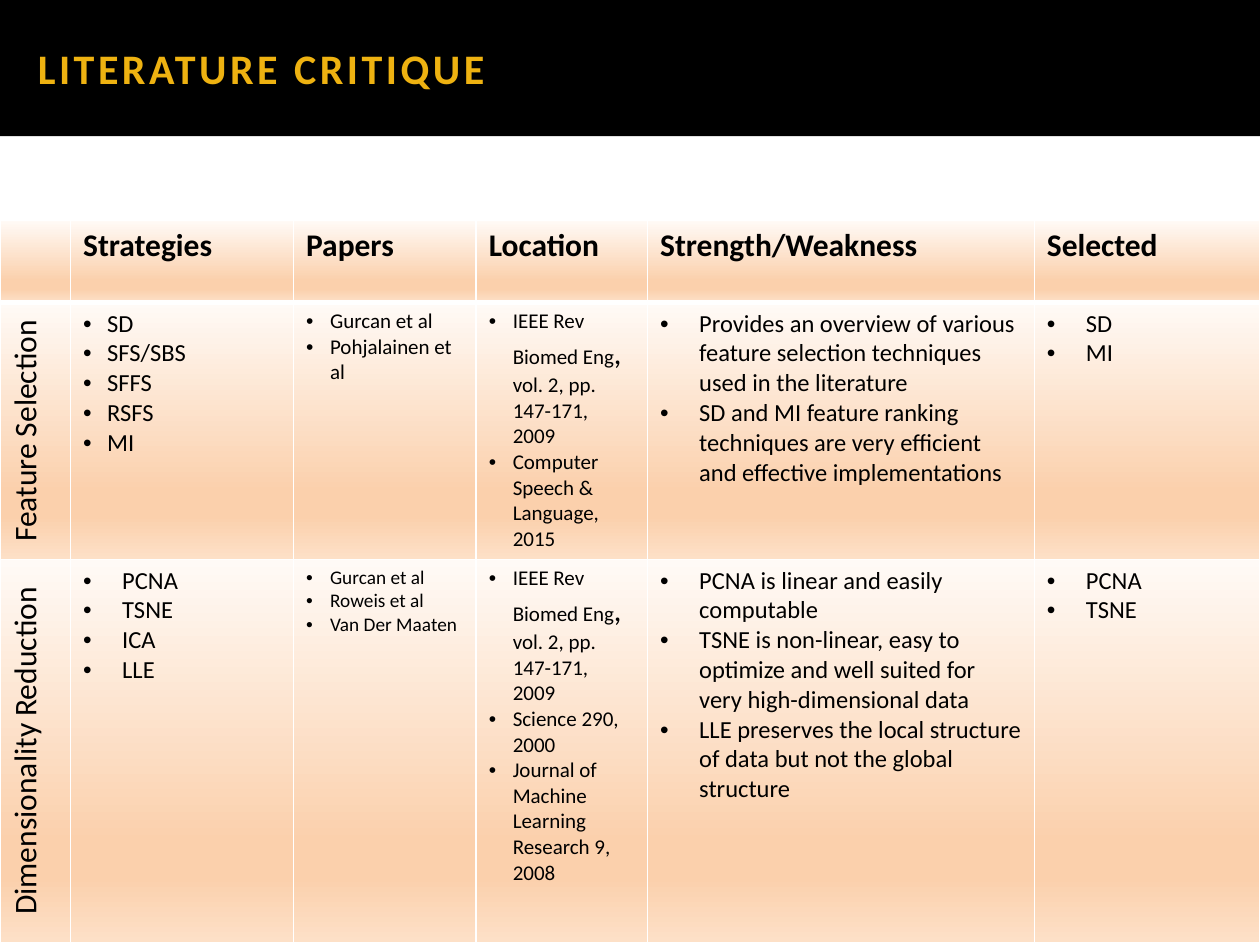
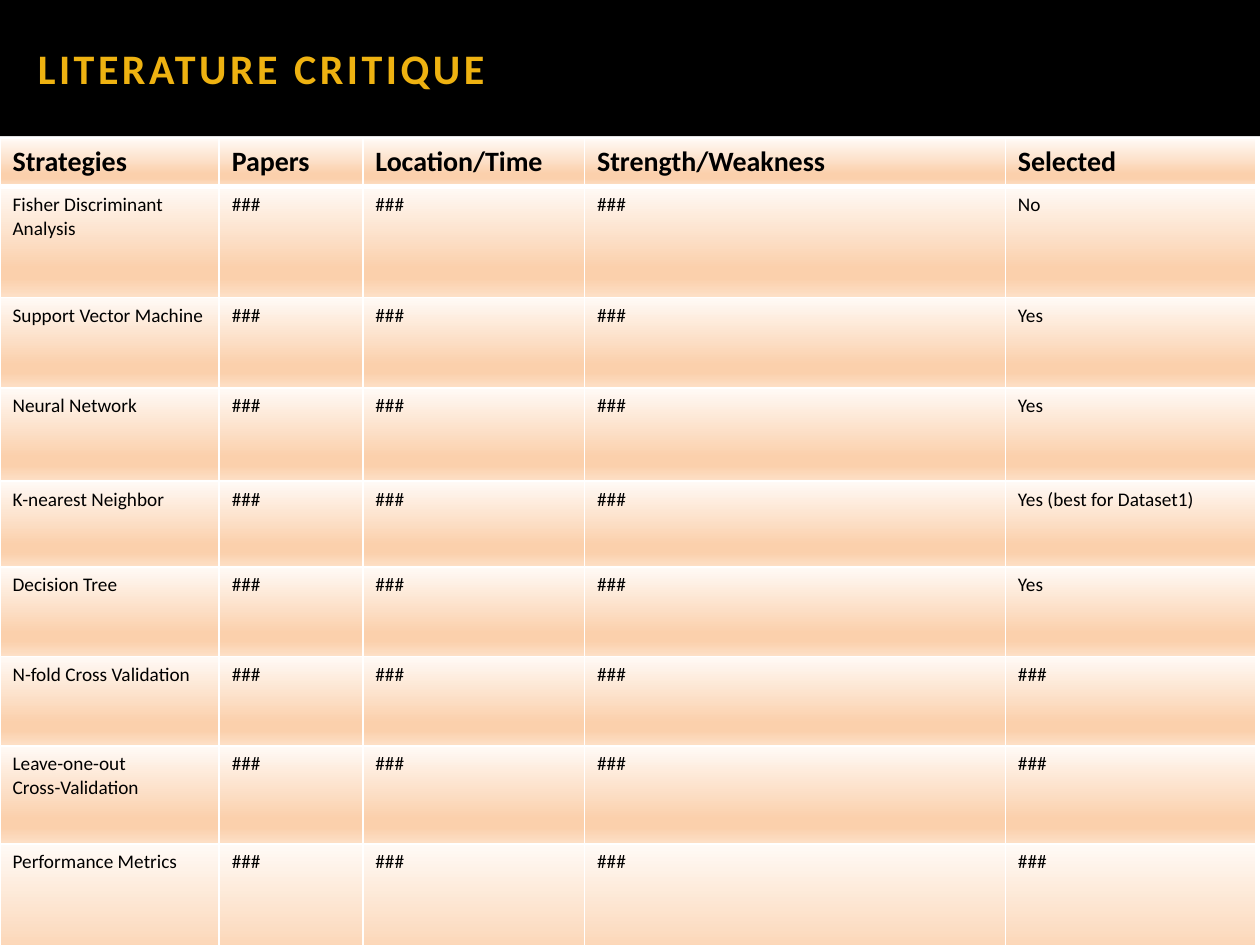
from dataclasses import dataclass

from lxml import etree
from pptx import Presentation
from pptx.dml.color import RGBColor
from pptx.enum.text import MSO_ANCHOR, MSO_AUTO_SIZE, PP_ALIGN
from pptx.oxml.ns import qn
from pptx.util import Inches, Pt

MIDDLE = MSO_ANCHOR.MIDDLE
NO_AUTOFIT = MSO_AUTO_SIZE.NONE
LEFT, CENTER = PP_ALIGN.LEFT, PP_ALIGN.CENTER

TITLE_ONLY = 5
GRID_COLUMNS, GRID_ROWS = 100, 75
BAND_ROWS = 10.8
NARROW, WIDE = 1.9, 3.1
BLACK, WHITE, GOLD = "000000", "FFFFFF", "EEB211"
CELL_GRADIENT = [(0, "FFFAF6"), (74, "FBD0AC"), (83, "FBD0AC"), (100, "FDE0C7")]


def color(hex_string):
    """Turn a hex string into a colour."""
    return RGBColor.from_string(hex_string)


def add_element(parent, tag, **attributes):
    """Append a DrawingML element with the given attributes."""
    values = {name: str(value) for name, value in attributes.items()}
    return etree.SubElement(parent, qn(f"a:{tag}"), values)


@dataclass
class Line:
    """One paragraph: its runs as (text, size, italic), and its style."""
    runs: list
    bold: bool = False
    indent: float = 0
    bullet: bool = False


@dataclass
class Cell:
    """The paragraphs of one table cell, upright or turned sideways."""
    lines: list
    sideways: bool = False


def plain(text, size, bold=False):
    """Make a cell whose text lines carry no bullets."""
    return Cell([Line([(part, size, False)], bold) for part in text.split("\n")])


def item(text, size, indent=NARROW, bullet=True):
    """Make one indented list line."""
    return Line([(text, size, False)], indent=indent, bullet=bullet)


def bullets(size, indent, *texts):
    """Make a cell holding a bulleted list."""
    return Cell([item(text, size, indent) for text in texts])


def side_label(text):
    """Make a cell that reads from bottom to top."""
    return Cell([Line([(text, 18, False)])], sideways=True)


def headings(size, *texts):
    """Make the bold heading row."""
    return [plain(text, size, bold=True) for text in texts]


def review_citation():
    """Make the citation line that both strategy groups share."""
    runs = [("IEEE Rev Biomed Eng", 12, False), (", ", 18, True),
            ("vol. 2, pp. 147-171, 2009", 12, False)]
    return Line(runs, indent=NARROW, bullet=True)


class Deck:
    """Holds the shared style and the current slide."""

    def __init__(self, font):
        """Start an empty presentation on the grid."""
        self.font = font
        self.presentation = Presentation()
        self.presentation.slide_width = Inches(10)
        self.presentation.slide_height = Inches(7.5)
        self.slide = None

    def across(self, columns):
        """Convert grid columns to a length."""
        return round(self.presentation.slide_width * columns / GRID_COLUMNS)

    def down(self, rows):
        """Convert grid rows to a length."""
        return round(self.presentation.slide_height * rows / GRID_ROWS)

    def add_run(self, paragraph, text, size, hex_string, bold=False, italic=False):
        """Add one formatted run to a paragraph."""
        run = paragraph.add_run()
        run.text = text
        run.font.name = self.font
        run.font.size = Pt(size)
        run.font.bold = bold
        run.font.italic = italic
        run.font.color.rgb = color(hex_string)
        return run

    def add_slide(self, title):
        """Add a slide with its title on the dark band."""
        layout = self.presentation.slide_layouts[TITLE_ONLY]
        self.slide = self.presentation.slides.add_slide(layout)
        self.slide.background.fill.solid()
        self.slide.background.fill.fore_color.rgb = color(WHITE)
        band = self.slide.shapes.title
        band.left, band.top = 0, 0
        band.width, band.height = self.across(GRID_COLUMNS), self.down(BAND_ROWS)
        band.fill.solid()
        band.fill.fore_color.rgb = color(BLACK)
        frame = band.text_frame
        frame.auto_size = NO_AUTOFIT
        frame.word_wrap = True
        frame.vertical_anchor = MIDDLE
        frame.margin_left, frame.margin_right = self.across(3), self.across(1)
        frame.margin_top = frame.margin_bottom = self.down(0.5)
        paragraph = frame.paragraphs[0]
        paragraph.alignment = LEFT
        run = self.add_run(paragraph, title, 24, GOLD, bold=True)
        run.font._element.set("spc", "200")

    def add_table(self, top, widths, heights, rows):
        """Add a table at the left edge, sized in grid columns and rows."""
        frame = self.slide.shapes.add_table(
            len(heights), len(widths), 0, self.down(top),
            self.across(sum(widths)), self.down(sum(heights)))
        table = frame.table
        table.first_row = table.horz_banding = False
        for column, width in zip(table.columns, widths):
            column.width = self.across(width)
        for row, height in zip(table.rows, heights):
            row.height = self.down(height)
        for row_index, row in enumerate(rows):
            for column_index, content in enumerate(row):
                cell = table.cell(row_index, column_index)
                self.fill_cell(cell, content)
                self.style_cell(cell, row_index)

    def fill_cell(self, cell, content):
        """Write the paragraphs of one cell."""
        for index, line in enumerate(content.lines):
            frame = cell.text_frame
            paragraph = frame.add_paragraph() if index else frame.paragraphs[0]
            paragraph.alignment = CENTER if content.sideways else LEFT
            if line.indent:
                self.indent_paragraph(paragraph, line)
            for text, size, italic in line.runs:
                if text:
                    self.add_run(paragraph, text, size, BLACK, line.bold, italic)
        if content.sideways:
            cell.vertical_anchor = MIDDLE
            cell._tc.get_or_add_tcPr().set("vert", "vert270")

    def indent_paragraph(self, paragraph, line):
        """Indent a paragraph and hang its bullet, if it has one."""
        properties = paragraph._p.get_or_add_pPr()
        indent = self.across(line.indent)
        properties.set("marL", str(indent))
        properties.set("indent", str(-indent if line.bullet else 0))
        if line.bullet:
            add_element(properties, "buFont", typeface="Arial")
            add_element(properties, "buChar", char="•")

    def style_cell(self, cell, row_index):
        """Give a cell its white borders and its gradient."""
        properties = cell._tc.get_or_add_tcPr()
        thick_side = {0: "lnB", 1: "lnT"}.get(row_index)
        for side in ("lnL", "lnR", "lnT", "lnB"):
            width = Pt(3 if side == thick_side else 1)
            border = add_element(properties, side, w=width)
            add_element(add_element(border, "solidFill"), "srgbClr", val=WHITE)
        gradient = add_element(properties, "gradFill", rotWithShape=1)
        stops = add_element(gradient, "gsLst")
        for position, hex_string in CELL_GRADIENT:
            stop = add_element(stops, "gs", pos=position * 1000)
            add_element(stop, "srgbClr", val=hex_string)
        add_element(gradient, "lin", ang=90 * 60000, scaled=0)


def add_strategy_slide(deck):
    """Compare feature selection with dimensionality reduction."""
    deck.add_slide("LITERATURE CRITIQUE")
    selection_row = [
        side_label("Feature Selection"),
        bullets(14, NARROW, "SD", "SFS/SBS", "SFFS", "RSFS", "MI"),
        bullets(12, NARROW, "Gurcan et al", "Pohjalainen et al"),
        Cell([review_citation(), item("Computer Speech & Language,", 12),
              item("2015", 12, bullet=False)]),
        bullets(14, WIDE,
                "Provides an overview of various feature selection techniques "
                "used in the literature",
                "SD and MI feature ranking techniques are very efficient and "
                "effective implementations"),
        bullets(14, WIDE, "SD", "MI"),
    ]
    reduction_row = [
        side_label("Dimensionality Reduction"),
        bullets(14, WIDE, "PCNA", "TSNE", "ICA", "LLE"),
        bullets(11, NARROW, "Gurcan et al", "Roweis et al", "Van Der Maaten"),
        Cell([review_citation(), item("Science 290, 2000", 12),
              item("Journal of Machine Learning Research 9, 2008", 12)]),
        bullets(14, WIDE,
                "PCNA is linear and easily computable",
                "TSNE is non-linear, easy to optimize and well suited for very "
                "high-dimensional data",
                "LLE preserves the local structure of data but not the global "
                "structure"),
        bullets(14, WIDE, "PCNA", "TSNE"),
    ]
    heading_row = headings(18, "", "Strategies", "Papers", "Location",
                           "Strength/Weakness", "Selected")
    deck.add_table(17.5, [5.6, 17.7, 14.5, 13.6, 30.7, 17.9], [6.5, 20.4, 30.4],
                   [heading_row, selection_row, reduction_row])


def add_classifier_slide(deck):
    """List the classifiers and validation methods with their outcome."""
    deck.add_slide("LITERATURE CRITIQUE")
    pending = "###"
    outcomes = [
        ("Fisher Discriminant Analysis", "No"),
        ("Support Vector Machine", "Yes"),
        ("Neural Network", "Yes"),
        ("K-nearest Neighbor", "Yes (best for Dataset1)"),
        ("Decision Tree", "Yes"),
        ("N-fold Cross Validation", pending),
        ("Leave-one-out\nCross-Validation", pending),
        ("Performance Metrics", pending),
    ]
    rows = [headings(16, "Strategies", "Papers", "Location/Time",
                     "Strength/Weakness", "Selected")]
    for strategy, selected in outcomes:
        texts = [strategy, pending, pending, pending, selected]
        rows.append([plain(text, 11) for text in texts])
    deck.add_table(11, [17.4, 11.4, 17.6, 33.4, 19.9],
                   [3.8, 8.8, 7.2, 7.4, 6.8, 7.1, 7.1, 7.8, 13.2], rows)


def main():
    """Build both slides and save them."""
    deck = Deck("Calibri")
    add_strategy_slide(deck)
    add_classifier_slide(deck)
    deck.presentation.save("out.pptx")


if __name__ == "__main__":
    main()
